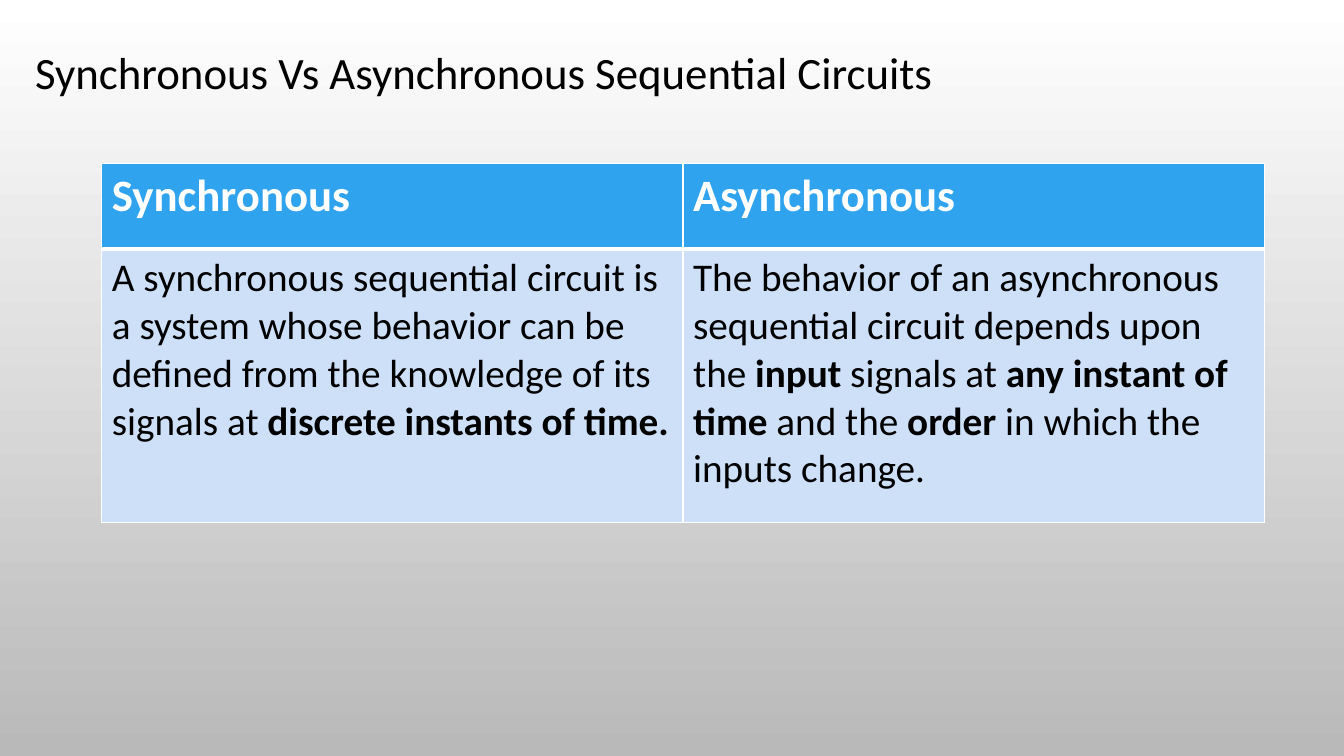
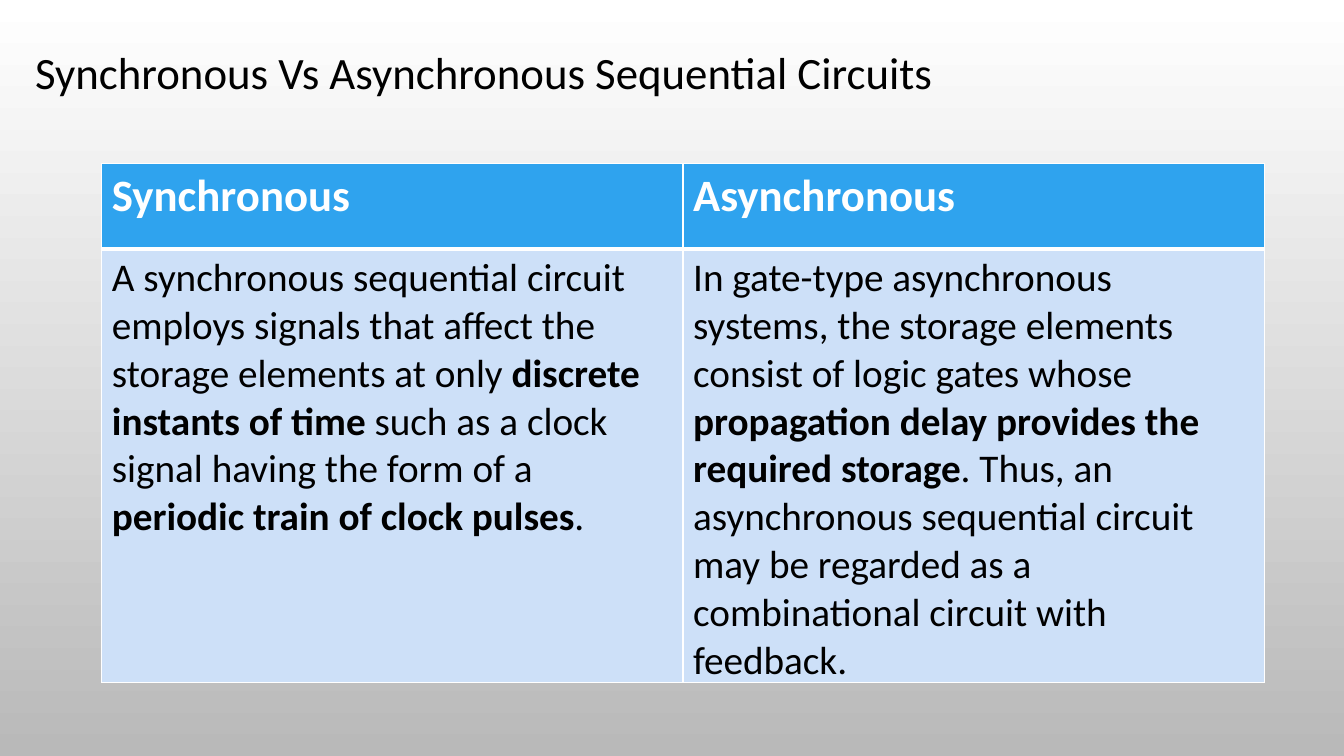
"""Build two slides comparing synchronous and asynchronous sequential circuits."""
from pptx import Presentation
from pptx.dml.color import RGBColor
from pptx.oxml import ns, xmlchemy
from pptx.util import Inches, Pt

FONT = "Calibri"
BLACK = RGBColor(0x00, 0x00, 0x00)
WHITE = RGBColor(0xFF, 0xFF, 0xFF)
GREY = RGBColor(0xB9, 0xB9, 0xB9)
BLUE = RGBColor(0x2F, 0xA3, 0xEE)
PALE_BLUE = RGBColor(0xCD, 0xE0, 0xF8)

TITLE = "Synchronous Vs Asynchronous Sequential Circuits"
HEADINGS = ("Synchronous", "Asynchronous")
COLUMN_WIDTH = Inches(5.765)
HEADER_HEIGHT, BODY_HEIGHT = Inches(0.85), Inches(2.71)
HEADER_BORDERS = {"L": 1, "R": 1, "T": 1, "B": 3}
BODY_BORDERS = {"L": 1, "R": 1, "T": 3, "B": 1}

DEFINITIONS = (
    (
        ("A synchronous sequential circuit is a system whose behavior can be "
         "defined from the knowledge of its signals at ", False),
        ("discrete instants of time.", True),
    ),
    (
        ("The behavior of an asynchronous sequential circuit depends upon the ", False),
        ("input", True),
        (" signals at ", False),
        ("any instant of time", True),
        (" and the ", False),
        ("order ", True),
        ("in which the inputs change.", False),
    ),
)
STORAGE = (
    (
        ("A synchronous sequential circuit employs signals that affect the "
         "storage elements at only ", False),
        ("discrete instants of time ", True),
        ("such as a clock signal having the form of a ", False),
        ("periodic train of clock pulses", True),
        (".", False),
    ),
    (
        ("In gate-type asynchronous systems, the storage elements consist of "
         "logic gates whose ", False),
        ("propagation delay provides the required storage", True),
        (". Thus, an asynchronous sequential circuit may be regarded as a "
         "combinational circuit with feedback.", False),
    ),
)


def add_runs(paragraph, runs, size, color):
    """Add (text, bold) runs in one size and colour."""
    for content, bold in runs:
        run = paragraph.add_run()
        run.text = content
        run.font.name = FONT
        run.font.size = Pt(size)
        run.font.bold = bold
        run.font.color.rgb = color


def set_borders(cell, widths):
    """Draw white cell borders with the given point widths."""
    properties = cell._tc.get_or_add_tcPr()
    for side, width in widths.items():
        line = xmlchemy.OxmlElement(f"a:ln{side}")
        line.set("w", str(Pt(width)))
        fill = xmlchemy.OxmlElement("a:solidFill")
        color = xmlchemy.OxmlElement("a:srgbClr")
        color.set("val", str(WHITE))
        fill.append(color)
        line.append(fill)
        properties.append(line)


def fill_cell(cell, runs, size, color, background, borders):
    """Write and style one table cell."""
    set_borders(cell, borders)
    cell.fill.solid()
    cell.fill.fore_color.rgb = background
    add_runs(cell.text_frame.paragraphs[0], runs, size, color)


def add_background(slide):
    """Shade the slide from white at the top to grey at the bottom."""
    fill = slide.background.fill
    fill.gradient()
    fill.gradient_angle = 270
    for stop, color in zip(fill.gradient_stops, (WHITE, GREY)):
        stop.color.rgb = color


def add_title(slide):
    """Add the shared slide title."""
    title = slide.shapes.add_textbox(Inches(0.25), Inches(0.39), Inches(12.95), Inches(1.88))
    title.text_frame.word_wrap = True
    add_runs(title.text_frame.paragraphs[0], [(TITLE, False)], 32, BLACK)


def add_comparison(slide, descriptions):
    """Add the table with one column per kind of circuit."""
    table = slide.shapes.add_table(
        2, 2, Inches(1.01), Inches(1.62), 2 * COLUMN_WIDTH, HEADER_HEIGHT + BODY_HEIGHT
    ).table
    table.rows[0].height = HEADER_HEIGHT
    table.rows[1].height = BODY_HEIGHT
    for column, (heading, description) in enumerate(zip(HEADINGS, descriptions)):
        table.columns[column].width = COLUMN_WIDTH
        fill_cell(table.cell(0, column), [(heading, True)], 32, WHITE, BLUE, HEADER_BORDERS)
        fill_cell(table.cell(1, column), description, 28, BLACK, PALE_BLUE, BODY_BORDERS)


def main():
    """Build and save the presentation."""
    presentation = Presentation()
    presentation.slide_width = Inches(13.33)
    presentation.slide_height = Inches(7.5)
    for descriptions in (DEFINITIONS, STORAGE):
        slide = presentation.slides.add_slide(presentation.slide_layouts[6])
        add_background(slide)
        add_title(slide)
        add_comparison(slide, descriptions)
    presentation.save("out.pptx")


if __name__ == "__main__":
    main()
